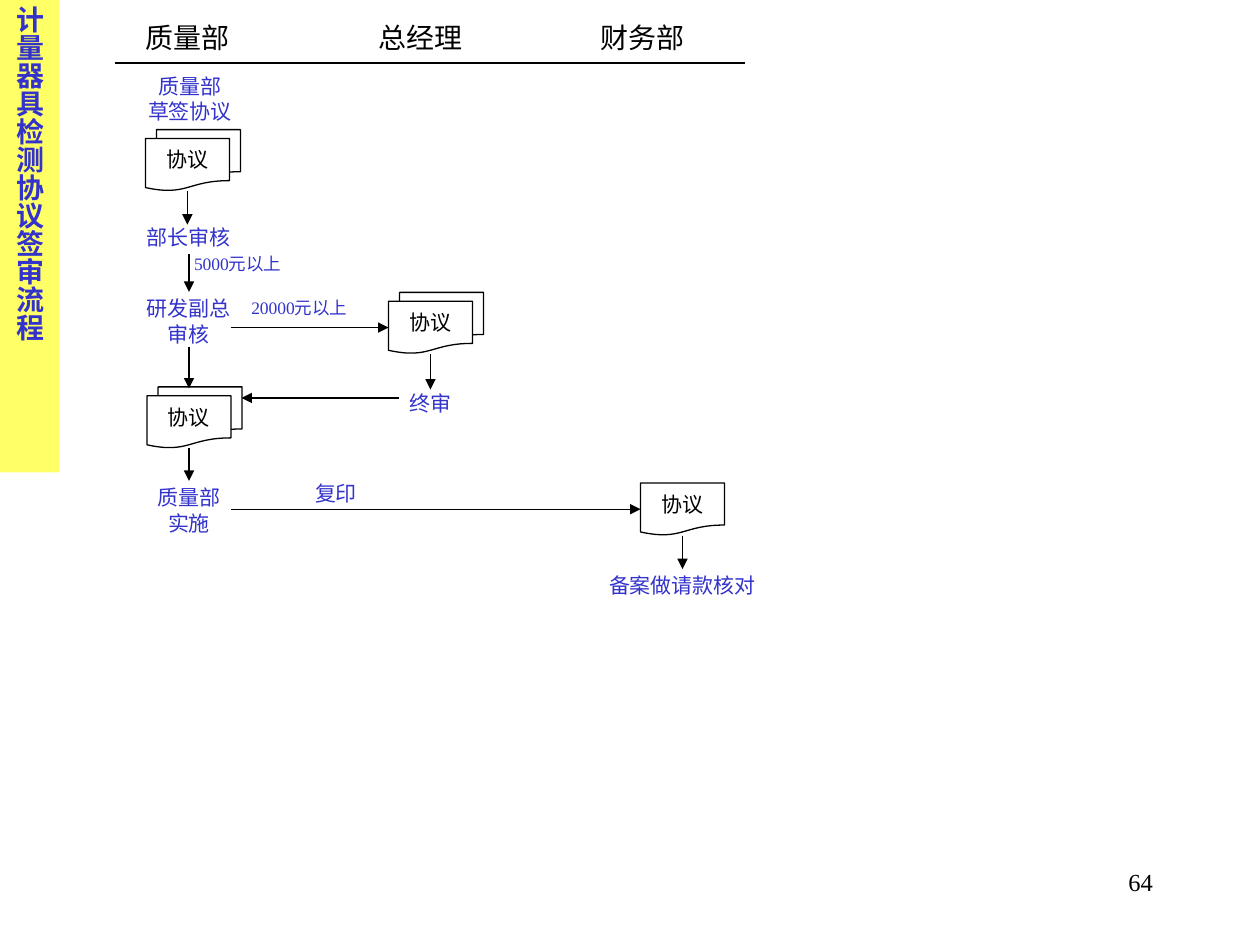
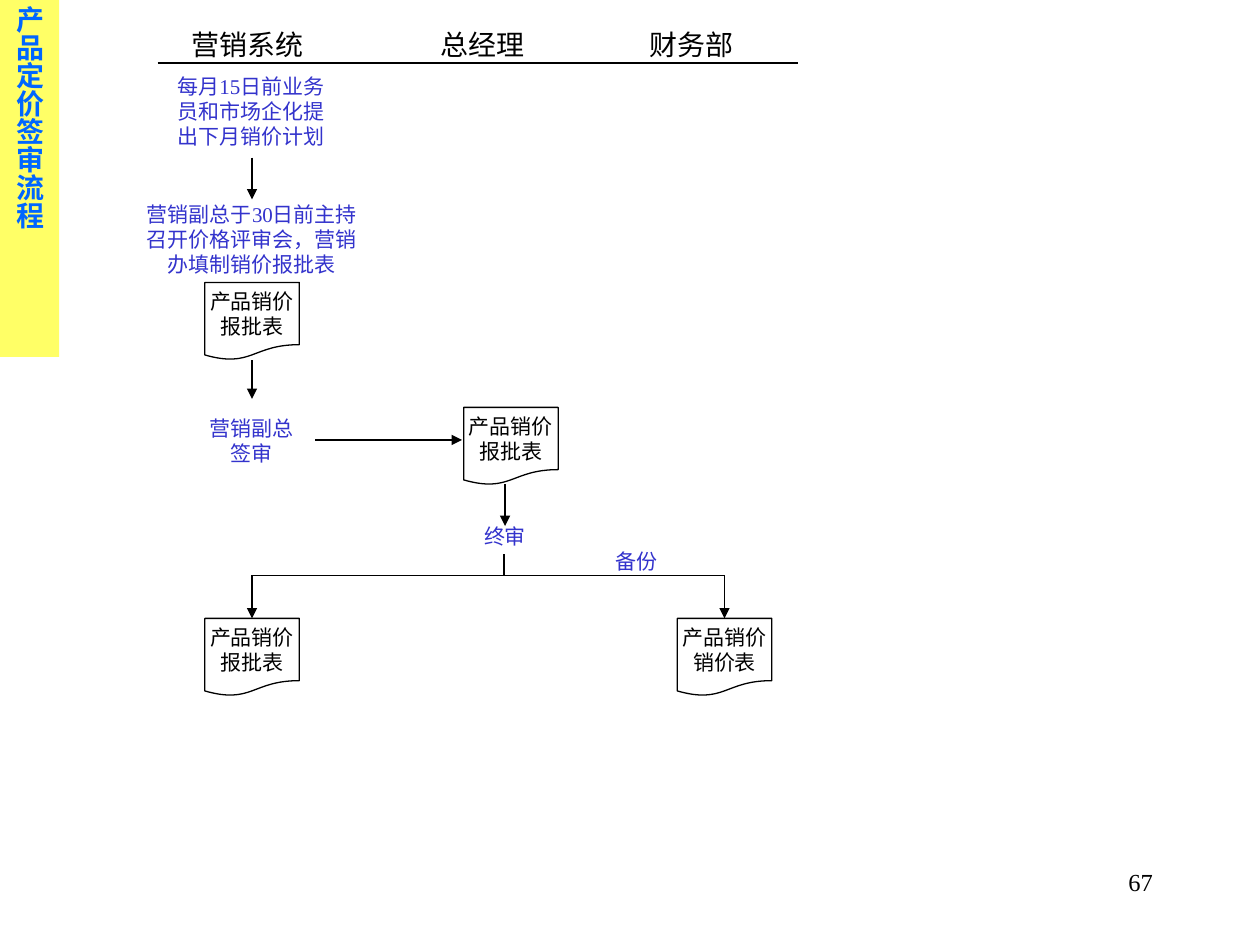
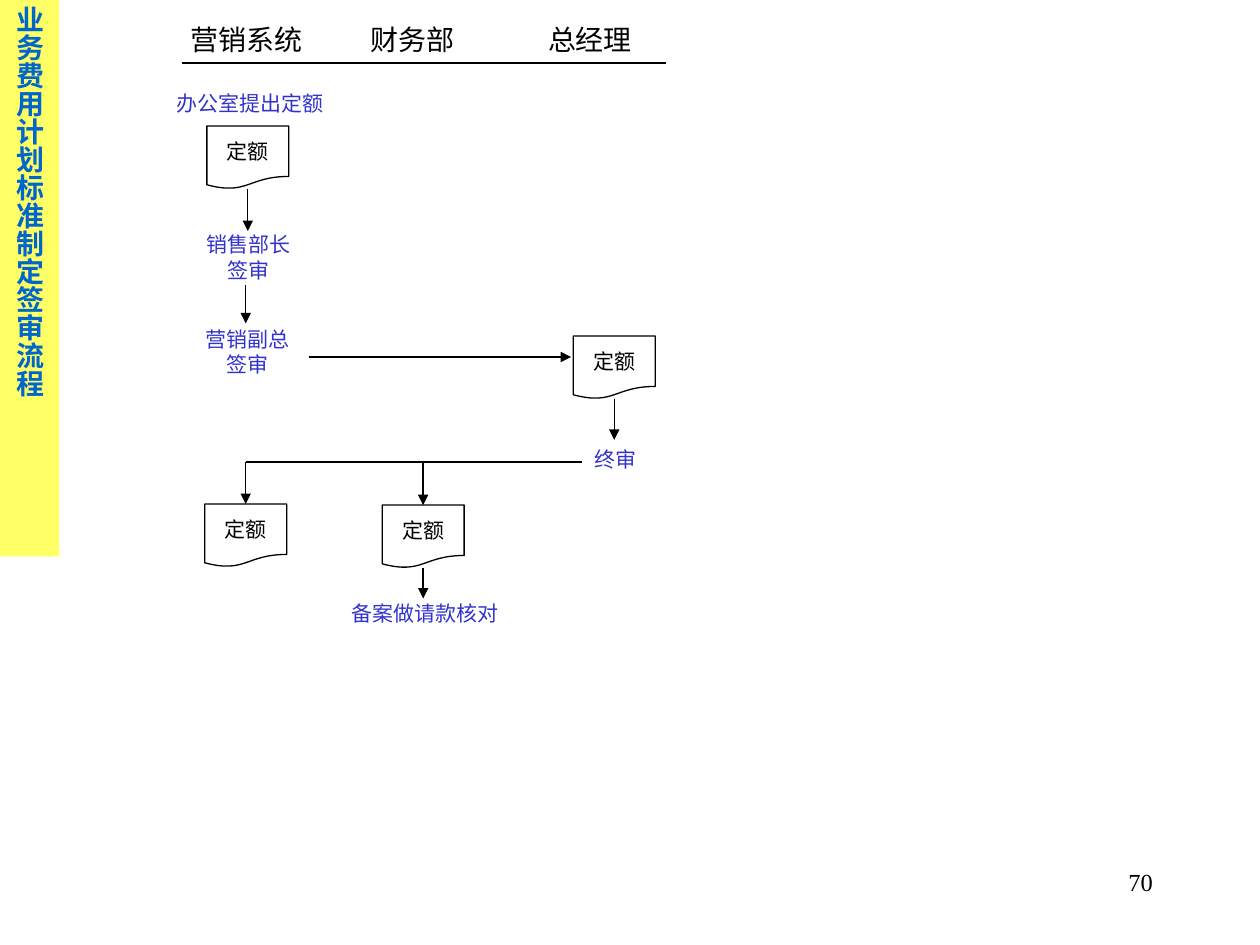
from lxml import etree
from pptx import Presentation
from pptx.dml.color import RGBColor
from pptx.enum.shapes import MSO_CONNECTOR, MSO_SHAPE
from pptx.enum.text import MSO_ANCHOR, MSO_AUTO_SIZE, PP_ALIGN
from pptx.oxml.ns import qn
from pptx.util import Inches, Pt

STRAIGHT = MSO_CONNECTOR.STRAIGHT
DOCUMENT = MSO_SHAPE.FLOWCHART_DOCUMENT
TOP, MIDDLE = MSO_ANCHOR.TOP, MSO_ANCHOR.MIDDLE
FIXED, GROW = MSO_AUTO_SIZE.NONE, MSO_AUTO_SIZE.SHAPE_TO_FIT_TEXT
LEFT, CENTER, RIGHT, JUSTIFY = PP_ALIGN.LEFT, PP_ALIGN.CENTER, PP_ALIGN.RIGHT, PP_ALIGN.JUSTIFY

FONT = "Times New Roman"
BLACK, WHITE, BLUE, YELLOW = "000000", "FFFFFF", "3333CC", "FFFF66"
COLUMNS, ROWS = 120, 90
INSET = 1.2
RULE_ROW = 6
TOP_SIDE, LEFT_SIDE, BOTTOM_SIDE = 0, 1, 2


def color(hex_code):
    """Turn a hex string into a colour."""
    return RGBColor.from_string(hex_code)


class FlowDeck:
    """Draws approval flows on a grid of columns and rows."""

    def __init__(self):
        """Open a deck and set its size."""
        self.deck = Presentation()
        self.deck.slide_width, self.deck.slide_height = Inches(10), Inches(7.5)
        self.slide = None

    def x(self, columns):
        """Convert columns to a length."""
        return round(self.deck.slide_width * columns / COLUMNS)

    def y(self, rows):
        """Convert rows to a length."""
        return round(self.deck.slide_height * rows / ROWS)

    def place(self, left, top, width, height):
        """Convert a grid box to lengths."""
        return self.x(left), self.y(top), self.x(width), self.y(height)

    def style(self, frame, size, ink, align, bold=False):
        """Format every paragraph of a text frame."""
        for paragraph in frame.paragraphs:
            paragraph.alignment = align
            font = paragraph.font
            font.name, font.size, font.bold = FONT, Pt(size), bold
            font.color.rgb = color(ink)

    def text(self, box, words, size, ink, align, fit=GROW):
        """Add a text box and return its frame."""
        frame = self.slide.shapes.add_textbox(*self.place(*box)).text_frame
        frame.word_wrap, frame.auto_size = True, fit
        frame.text = words
        self.style(frame, size, ink, align)
        return frame

    def start(self, title, title_ink, band_rows, page):
        """Start a slide with its vertical title band and page number."""
        self.slide = self.deck.slides.add_slide(self.deck.slide_layouts[5])
        band = self.slide.shapes.title
        band.left, band.top, band.width, band.height = self.place(0, 0, 5.64, band_rows)
        band.fill.solid()
        band.fill.fore_color.rgb = color(YELLOW)
        frame = band.text_frame
        frame.text = title
        frame.word_wrap, frame.auto_size, frame.vertical_anchor = True, FIXED, TOP
        frame._txBody.bodyPr.set("vert", "eaVert")
        self.style(frame, 16, title_ink, JUSTIFY, bold=True)
        self.text((86, 82, 25, 6), page, 14, BLACK, RIGHT, FIXED)

    def departments(self, box, centers, names, rule, spacing=1.0):
        """Add the department headings on centred tabs above a rule."""
        words = "".join("\t" + name for name in names)
        frame = self.text(box, words, 16, BLACK, LEFT)
        heading = frame.paragraphs[0]
        heading.line_spacing = spacing
        tabs = etree.Element(qn("a:tabLst"))
        for center in centers:
            offset = self.x(center - box[0] - INSET)
            etree.SubElement(tabs, qn("a:tab"), pos=str(offset), algn="ctr")
        heading.font._element.addprevious(tabs)
        self.line((rule[0], RULE_ROW), (rule[1], RULE_ROW))

    def step(self, center, top, width, words, lines=1, size=12, align=CENTER):
        """Add a blue step or condition around a centre column."""
        box = center - width / 2, top, width, INSET + 2.4 * lines
        self.text(box, words, size, BLUE, align)

    def document(self, center, top, size, words=""):
        """Add a document symbol around a centre column."""
        width, height = size
        sheet = self.slide.shapes.add_shape(
            DOCUMENT, *self.place(center - width / 2, top, width, height))
        sheet.shadow.inherit = False
        sheet.fill.solid()
        sheet.fill.fore_color.rgb = color(WHITE)
        sheet.line.color.rgb = color(BLACK)
        sheet.line.width = Pt(0.75)
        if words:
            frame = sheet.text_frame
            frame.text = words
            frame.word_wrap, frame.vertical_anchor = False, MIDDLE
            self.style(frame, 12, BLACK, CENTER)
        return sheet

    def stack(self, center, top, size, words):
        """Add a document with a second sheet behind it."""
        self.document(center + 1.05, top - 0.85, size)
        return self.document(center, top, size, words)

    def line(self, start, end):
        """Add a plain straight line."""
        link = self.slide.shapes.add_connector(
            STRAIGHT, self.x(start[0]), self.y(start[1]), self.x(end[0]), self.y(end[1]))
        link.line.color.rgb = color(BLACK)
        link.line.width = Pt(0.75)
        etree.SubElement(link._element.spPr, qn("a:effectLst"))
        return link

    def arrow(self, start, end, source=None, target=None, side=TOP_SIDE):
        """Add an arrow, joined to the documents it leaves or reaches."""
        link = self.line(start, end)
        etree.SubElement(link.line._get_or_add_ln(), qn("a:tailEnd"), type="triangle")
        if source:
            link.begin_connect(source, BOTTOM_SIDE)
        if target:
            link.end_connect(target, side)


def agreement_flow(flow):
    """Draw the approval of measuring-tool inspection agreements."""
    size, name = (8, 5), "协议"
    flow.start("计量器具检测协议签审流程", BLUE, 45, "64")
    flow.departments((11, 2, 67, 3.7), (17.9, 40.1, 61.2),
                     ("质量部", "总经理", "财务部"), (11, 71), 0.8)
    draft = flow.stack(17.85, 13.2, size, name)
    final = flow.stack(41, 28.7, size, name)
    signed = flow.stack(18, 37.7, size, name)
    filed = flow.document(65, 46, size, name)

    flow.step(18.1, 6.4, 12, "质量部\v草签协议", 2)
    flow.step(18, 20.8, 11, "部长审核")
    flow.step(23.8, 23.5, 13, "5000元以上", size=10, align=LEFT)
    flow.step(18, 27.6, 11, "研发副总审核", 2)
    flow.step(28.5, 27.7, 13, "20000元以上", size=10)
    flow.step(41, 36.6, 8, "终审")
    flow.step(18, 45.6, 10, "质量部实施", 2)
    flow.step(32, 45.2, 8, "复印")
    flow.step(65, 53.9, 20, "备案做请款核对")

    flow.arrow((17.85, 18.2), (17.85, 21.4), source=draft)
    flow.arrow((18, 24.2), (18, 27.8))
    flow.arrow((22, 31.2), (37, 31.2), target=final, side=LEFT_SIDE)
    flow.arrow((41, 33.7), (41, 37.1), source=final)
    flow.arrow((38, 37.9), (23, 37.9))
    flow.arrow((18, 33), (18, 37))
    flow.arrow((18, 42.7), (18, 45.8), source=signed)
    flow.arrow((22, 48.5), (61, 48.5), target=filed, side=LEFT_SIDE)
    flow.arrow((65, 51), (65, 54.2), source=filed)


def pricing_flow(flow):
    """Draw the approval of product prices."""
    size, name = (9, 7.4), "产品销价\n报批表"
    fork = 54.8
    flow.start("产品定价签审流程", "0066FF", 34, "67")
    flow.departments((16, 2, 60, 4.4), (23.6, 46, 65.9),
                     ("营销系统", "总经理", "财务部"), (15, 76))
    proposal = flow.document(24, 26.9, size, name)
    flow.document(48.66, 38.8, size, name)
    returned = flow.document(24, 58.9, size, name)
    backup = flow.document(69, 58.9, size, "产品销价\n销价表")

    flow.step(23.9, 6.4, 18.1, "每月15日前业务员和市场企化提出下月销价计划", 3)
    flow.step(24, 18.6, 23, "营销副总于30日前主持召开价格评审会，营销办填制销价报批表", 3)
    flow.step(24, 39, 12, "营销副总签审", 2)
    flow.step(48.1, 49.3, 12, "终审")
    flow.step(60.6, 51.7, 12, "备份")

    flow.arrow((24, 15), (24, 19))
    flow.arrow((24, 34.3), (24, 38), source=proposal)
    flow.arrow((30, 41.9), (44, 41.9))
    flow.arrow((48.1, 46.1), (48.1, 50.1))
    flow.line((48, fork), (48, 52.8))
    flow.line((24, fork), (69, fork))
    for column, sheet in ((24, returned), (69, backup)):
        flow.arrow((column, fork), (column, 58.9), target=sheet)


def expense_flow(flow):
    """Draw the approval of business expense quotas."""
    size, name = (7.8, 6), "定额"
    fork = 44
    flow.start("业务费用计划标准制定签审流程", "0066CC", 53, "70")
    flow.departments((17, 1.6, 46.4, 4.4), (23.4, 39.3, 56.2),
                     ("营销系统", "财务部", "总经理"), (17.3, 63.4))
    proposal = flow.document(23.6, 12, size, name)
    final = flow.document(58.5, 32, size, name)
    returned = flow.document(23.4, 48, size, name)
    filed = flow.document(40.3, 48.1, size, name)

    flow.step(23.8, 8, 17.6, "办公室提出定额")
    flow.step(23.7, 21.5, 11.4, "销售部长签审", 2)
    flow.step(23.6, 30.5, 11.4, "营销副总签审", 2)
    flow.step(58.6, 41.9, 7.8, "终审")
    flow.step(40.5, 56.6, 18, "备案做请款核对")

    flow.arrow((23.6, 18), (23.6, 22), source=proposal)
    flow.arrow((23.4, 27.1), (23.4, 30.8))
    flow.arrow((29.4, 34), (54.4, 34))
    flow.arrow((58.5, 38), (58.5, 41.9), source=final)
    flow.line((55.4, fork), (23.4, fork))
    for column, sheet in ((23.4, returned), (40.3, filed)):
        flow.arrow((column, fork), (column, 48), target=sheet)
    flow.arrow((40.3, 54.1), (40.3, 57), source=filed)


def main():
    """Build the three approval flows and save the deck."""
    flow = FlowDeck()
    for draw in (agreement_flow, pricing_flow, expense_flow):
        draw(flow)
    flow.deck.save("out.pptx")


if __name__ == "__main__":
    main()
